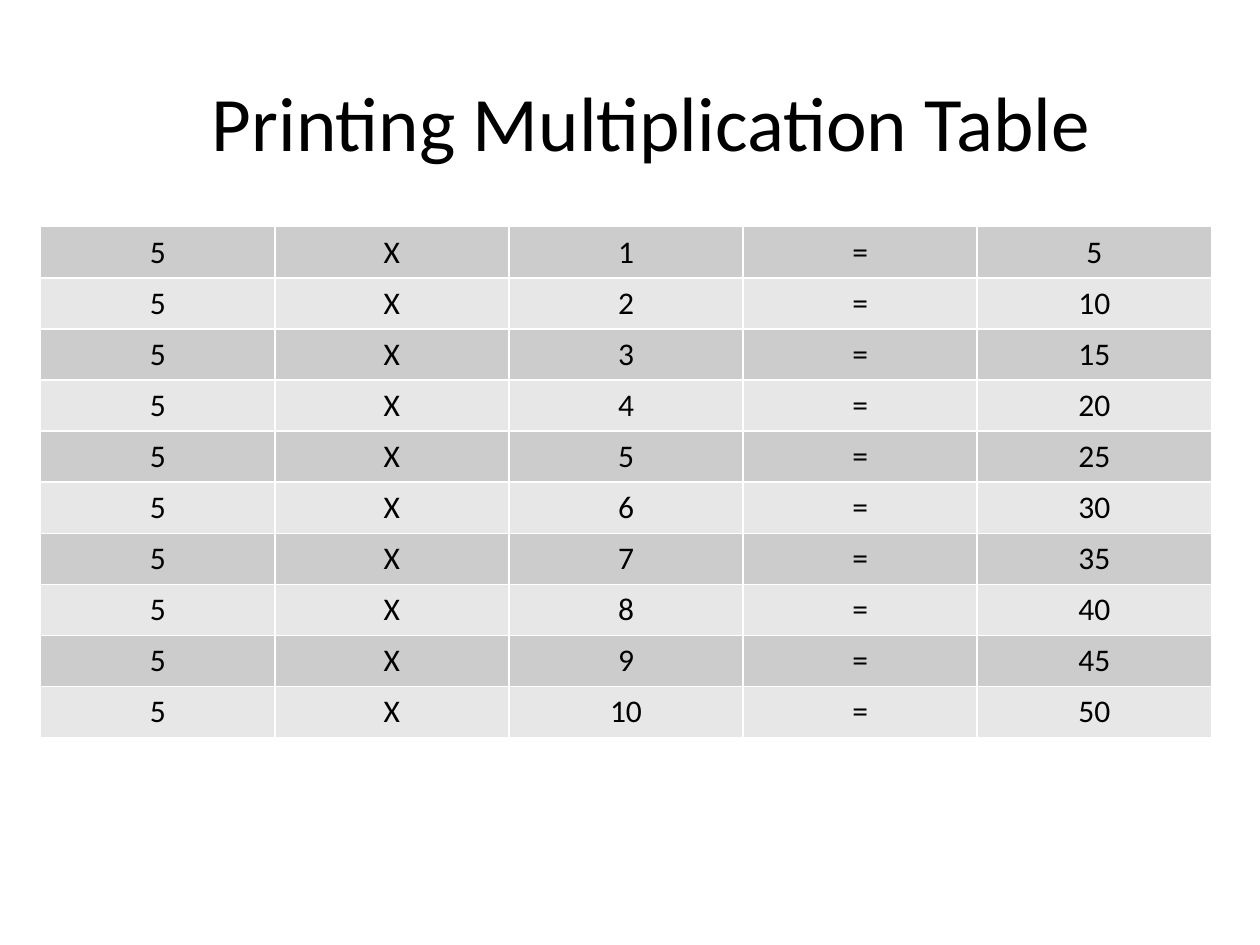
"""Build a slide with the multiplication table of five."""
from dataclasses import dataclass

from lxml.etree import SubElement
from pptx import Presentation
from pptx.dml.color import RGBColor
from pptx.enum.text import MSO_ANCHOR, PP_ALIGN
from pptx.oxml.ns import qn
from pptx.util import Cm, Pt


@dataclass(frozen=True)
class Theme:
    face: str = "Calibri"
    ink: str = "000000"
    rule: str = "FFFFFF"
    bands: tuple = ("CCCCCC", "E7E7E7")
    title: int = 44
    body: int = 18


def write(frame, text, size):
    para = frame.paragraphs[0]
    para.text = text
    para.alignment = PP_ALIGN.CENTER
    para.font.name = theme.face
    para.font.size = Pt(size)
    para.font.color.rgb = RGBColor.from_string(theme.ink)


def edge(cell):
    props = cell._tc.get_or_add_tcPr()
    for side in ("a:lnL", "a:lnR", "a:lnT", "a:lnB"):
        line = SubElement(props, qn(side), w=str(Pt(0.96)))
        fill = SubElement(line, qn("a:solidFill"))
        SubElement(fill, qn("a:srgbClr"), val=theme.rule)


theme = Theme()
base, count = 5, 10

deck = Presentation()
deck.slide_width, deck.slide_height = Cm(25.4), Cm(19.05)
slide = deck.slides.add_slide(deck.slide_layouts[6])

title = slide.shapes.add_textbox(Cm(1.7), Cm(0.85), Cm(22.86), Cm(3.18)).text_frame
title.word_wrap = True
title.vertical_anchor = MSO_ANCHOR.MIDDLE
write(title, "Printing Multiplication Table", theme.title)

wide, high = Cm(4.72), Cm(1.03)
grid = slide.shapes.add_table(
    count, 5, Cm(0.82), Cm(4.57), wide * 5, high * count
).table
grid.first_row = False

for index, row in enumerate(grid.rows):
    factor = index + 1
    words = (base, "X", factor, "=", base * factor)
    for cell, word in zip(row.cells, words):
        cell.margin_left = cell.margin_right = Cm(0.28)
        edge(cell)
        cell.fill.solid()
        cell.fill.fore_color.rgb = RGBColor.from_string(theme.bands[index % 2])
        write(cell.text_frame, str(word), theme.body)

deck.save("out.pptx")
